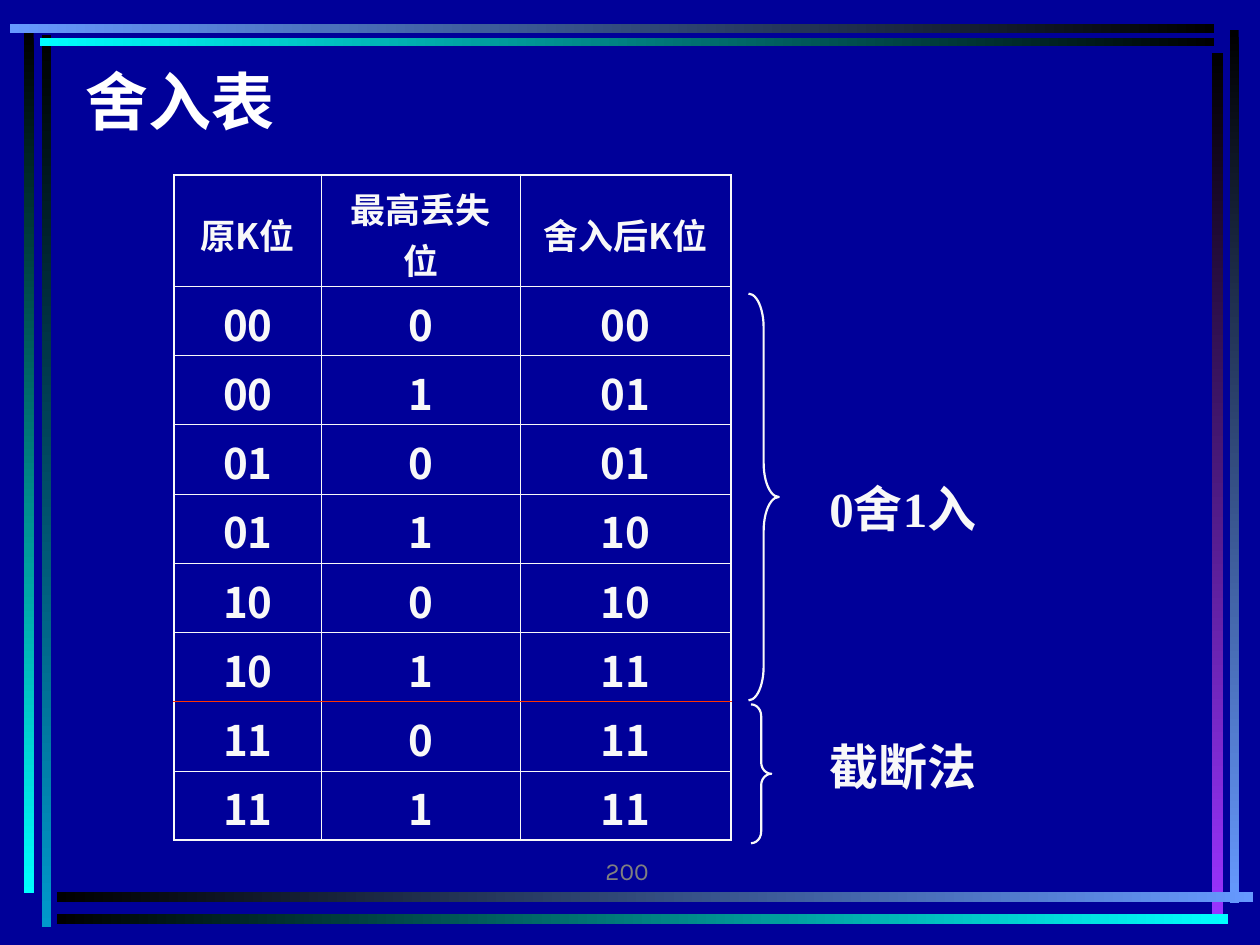
from dataclasses import dataclass

from lxml import etree
from pptx import Presentation
from pptx.dml.color import RGBColor
from pptx.enum.shapes import MSO_SHAPE
from pptx.enum.text import MSO_ANCHOR, PP_ALIGN
from pptx.oxml.ns import qn
from pptx.util import Cm, Pt

RECTANGLE, RIGHT_BRACE = MSO_SHAPE.RECTANGLE, MSO_SHAPE.RIGHT_BRACE
TOP, MIDDLE, BOTTOM = MSO_ANCHOR.TOP, MSO_ANCHOR.MIDDLE, MSO_ANCHOR.BOTTOM
LEFT, CENTER, RIGHT = PP_ALIGN.LEFT, PP_ALIGN.CENTER, PP_ALIGN.RIGHT
TITLE_ONLY = 5


@dataclass(frozen=True)
class Theme:
    background: str = "000099"
    title: str = "FFFFFF"
    text: str = "F8F8F8"
    divider: str = "FF3300"
    number: str = "808080"
    black: str = "000000"
    blue: str = "6699FF"
    teal: str = "0099CC"
    cyan: str = "00FFFF"
    purple: str = "9933FF"
    sans: str = "Noto Sans CJK SC"
    serif: str = "Times New Roman"
    number_font: str = "Karla"
    title_size: float = 36
    label_size: float = 28
    body_size: float = 24
    header_size: float = 20
    number_size: float = 14
    brace_line: float = 1.25
    outer_line: float = 1.08
    inner_line: float = 0.45


THEME = Theme()


@dataclass(frozen=True)
class Box:
    """A region, in centimetres."""
    left: float
    top: float
    width: float
    height: float

    def place(self):
        return Cm(self.left), Cm(self.top), Cm(self.width), Cm(self.height)

    def inside(self, left, top, width, height):
        return Box(self.left + left, self.top + top, width, height)


def color(value):
    return RGBColor.from_string(value)


def write(frame, text, size, font, ink, align, anchor, bold=True):
    frame.word_wrap = True
    frame.vertical_anchor = anchor
    paragraph = frame.paragraphs[0]
    paragraph.alignment = align
    run = paragraph.add_run()
    run.text = text
    run.font.size = Pt(size)
    run.font.bold = bold
    run.font.name = font
    run.font.color.rgb = color(ink)
    east_asian = etree.SubElement(run.font._element, qn("a:ea"))
    east_asian.set("typeface", THEME.sans)


def add_text(slide, box, *style, **options):
    write(slide.shapes.add_textbox(*box.place()).text_frame, *style, **options)


def add_frame(slide, box):
    """Double gradient bars along the four edges."""
    black = THEME.black
    bars = [
        # left
        (0.84, 0.71, 0.2, 17.98, black, THEME.teal),
        (0.48, 0.64, 0.2, 17.37, black, THEME.cyan),
        # right
        (24.79, 0.61, 0.18, 17.6, black, THEME.blue),
        (24.43, 1.07, 0.23, 17.35, black, THEME.purple),
        # bottom
        (1.14, 17.98, 24.13, 0.2, black, THEME.blue),
        (1.14, 18.42, 23.62, 0.2, black, THEME.cyan),
        # top
        (0.81, 0.77, 23.67, 0.15, THEME.cyan, black),
        (0.2, 0.48, 24.28, 0.18, THEME.blue, black),
    ]
    for left, top, width, height, start, end in bars:
        bar = slide.shapes.add_shape(
            RECTANGLE, *box.inside(left, top, width, height).place())
        bar.shadow.inherit = False
        bar.line.fill.background()
        bar.fill.gradient()
        bar.fill.gradient_angle = 270 if height > width else 0
        for stop, value in zip(bar.fill.gradient_stops, (start, end)):
            stop.color.rgb = color(value)


def add_title(slide, box, text):
    title = slide.shapes.title
    title.left, title.top, title.width, title.height = box.place()
    write(title.text_frame, text, THEME.title_size, THEME.sans, THEME.title,
          LEFT, MIDDLE)


def set_borders(cell, borders):
    """Draw the left, right, top and bottom lines, each (width, color)."""
    properties = cell._tc.get_or_add_tcPr()
    for index, (side, (width, ink)) in enumerate(zip("LRTB", borders)):
        line = etree.Element(qn(f"a:ln{side}"), w=str(Pt(width)))
        fill = etree.SubElement(line, qn("a:solidFill"))
        etree.SubElement(fill, qn("a:srgbClr"), val=ink)
        properties.insert(index, line)


def add_rounding_table(slide, box, header, rows, divided_after):
    column_widths = (2.97, 4.01, 4.24)
    header_height = 2.24
    row_height = (box.height - header_height) / len(rows)
    table = slide.shapes.add_table(
        len(rows) + 1, len(header), *box.place()).table
    table.first_row = table.horz_banding = False
    for column, width in zip(table.columns, column_widths):
        column.width = Cm(width)

    outer = (THEME.outer_line, THEME.text)
    inner = (THEME.inner_line, THEME.text)
    divider = (THEME.inner_line, THEME.divider)

    def horizontal(edge):
        if edge in (0, len(rows) + 1):
            return outer
        return divider if edge == divided_after + 1 else inner

    def vertical(edge):
        return outer if edge in (0, len(header)) else inner

    for r, values in enumerate([header, *rows]):
        table.rows[r].height = Cm(row_height if r else header_height)
        for c, value in enumerate(values):
            cell = table.cell(r, c)
            cell.fill.background()
            cell.margin_bottom = 0
            anchor = TOP if r else MIDDLE
            cell.vertical_anchor = anchor
            write(cell.text_frame, value,
                  THEME.body_size if r else THEME.header_size,
                  THEME.sans, THEME.text, CENTER, anchor)
            set_borders(cell, (vertical(c), vertical(c + 1),
                               horizontal(r), horizontal(r + 1)))


def add_braced_label(slide, box, brace_width, label_top, text):
    """A right brace as tall as the box, with its label beside it."""
    brace = slide.shapes.add_shape(
        RIGHT_BRACE, *box.inside(0, 0, brace_width, box.height).place())
    brace.shadow.inherit = False
    brace.fill.background()
    brace.line.color.rgb = color(THEME.text)
    brace.line.width = Pt(THEME.brace_line)
    brace.adjustments[0] = box.height / brace_width / 12
    label_width = 4.6
    label = box.inside(box.width - label_width, label_top, label_width, 1.45)
    add_text(slide, label, text, THEME.label_size, THEME.serif, THEME.text,
             CENTER, TOP)


def main():
    presentation = Presentation()
    presentation.slide_width, presentation.slide_height = Cm(25.4), Cm(19.05)
    slide = presentation.slides.add_slide(
        presentation.slide_layouts[TITLE_ONLY])
    slide.background.fill.solid()
    slide.background.fill.fore_color.rgb = color(THEME.background)

    add_frame(slide, Box(0, 0, 25.4, 19.05))
    add_text(slide, Box(8.05, 16.71, 5.28, 1.27), "200", THEME.number_size,
             THEME.number_font, THEME.number, RIGHT, BOTTOM, bold=False)
    add_rounding_table(
        slide, Box(3.51, 3.53, 11.22, 13.41),
        ("原K位", "最高丢失位", "舍入后K位"),
        [("00", "0", "00"), ("00", "1", "01"),
         ("01", "0", "01"), ("01", "1", "10"),
         ("10", "0", "10"), ("10", "1", "11"),
         ("11", "0", "11"), ("11", "1", "11")],
        divided_after=6)
    add_title(slide, Box(1.47, 1.07, 21.79, 1.9), "舍入表")
    add_braced_label(slide, Box(15.09, 5.92, 5.41, 8.2), 0.61, 3.6, "0舍1入")
    add_braced_label(slide, Box(15.14, 14.2, 5.36, 2.8), 0.41, 0.53, "截断法")
    presentation.save("out.pptx")


if __name__ == "__main__":
    main()
